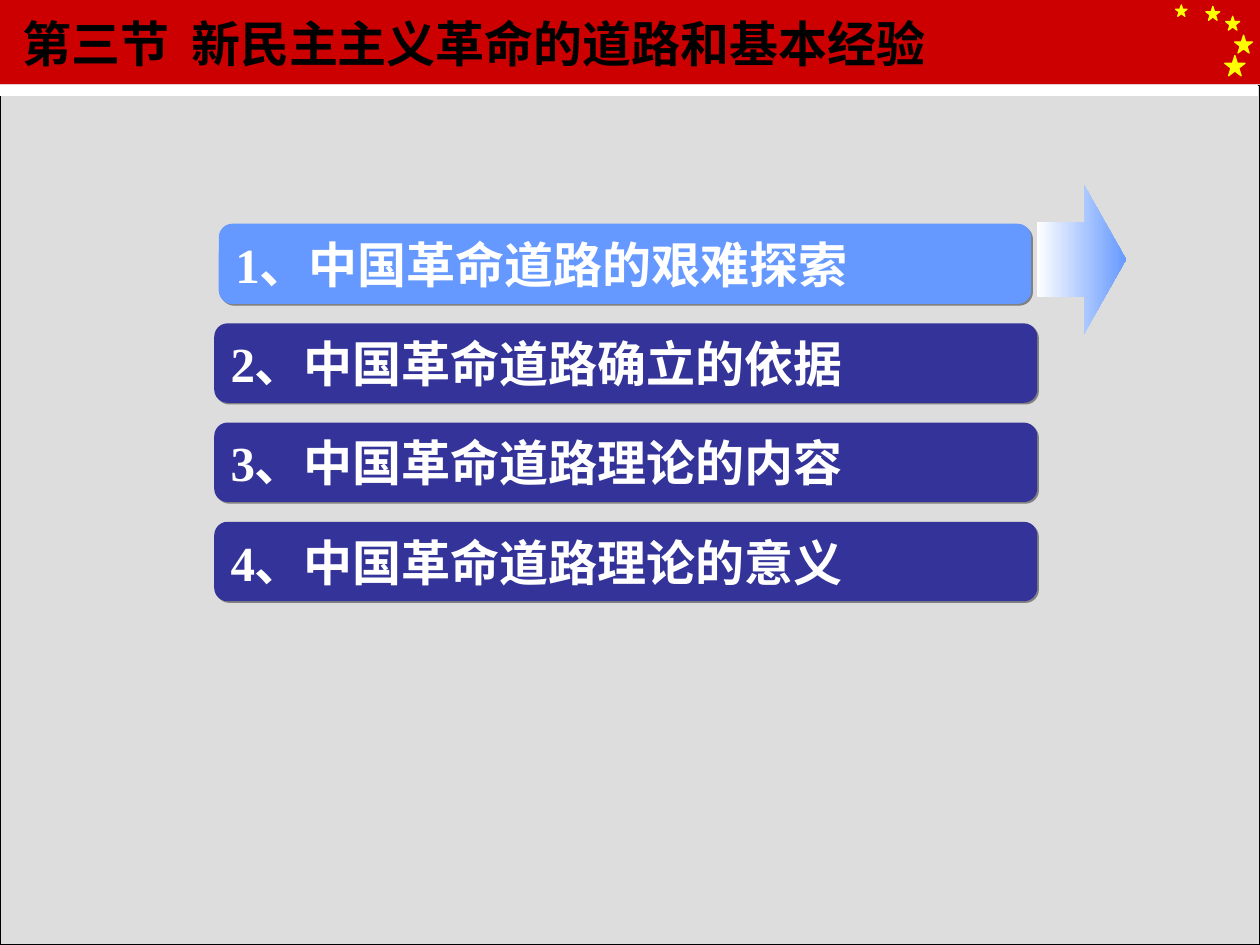
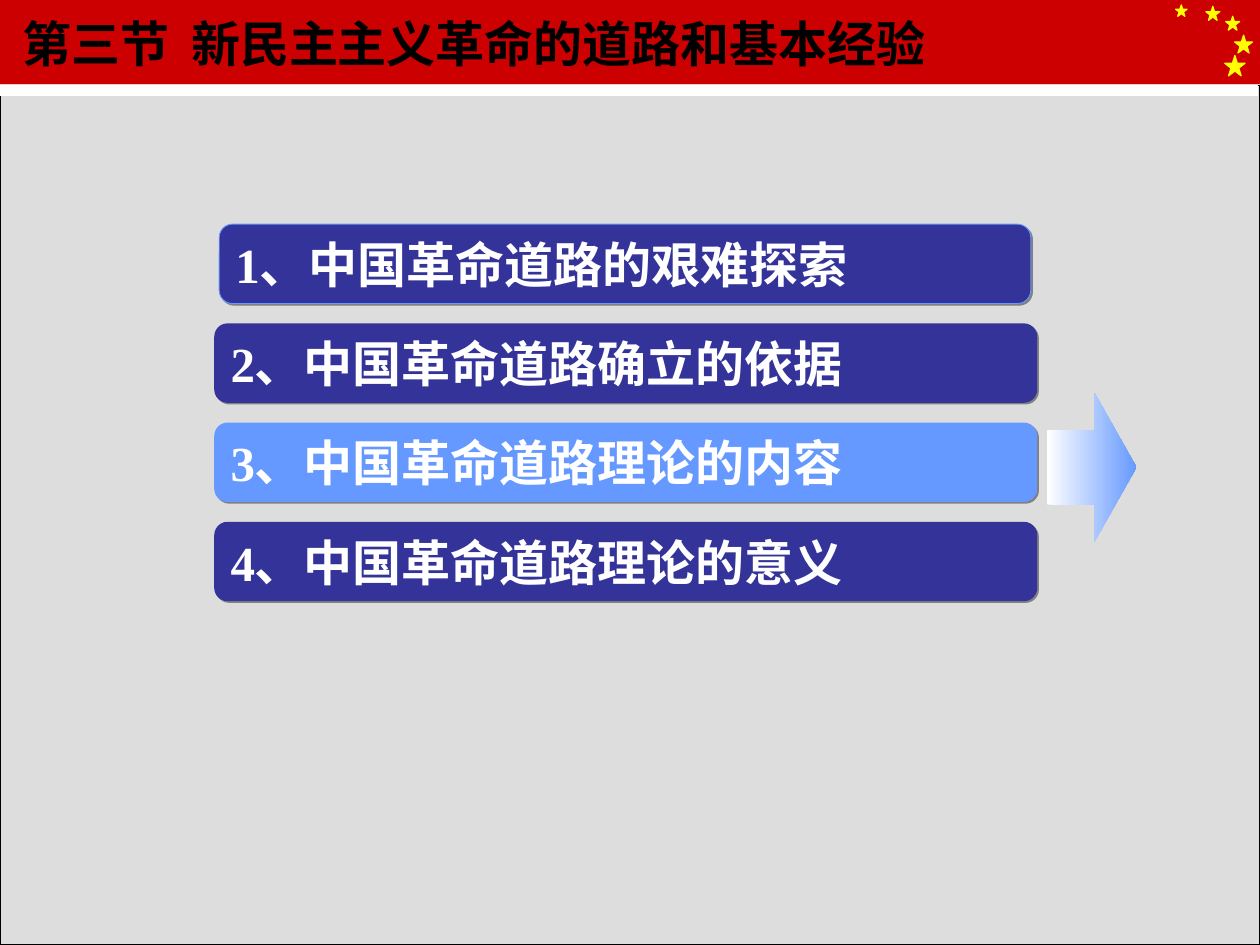
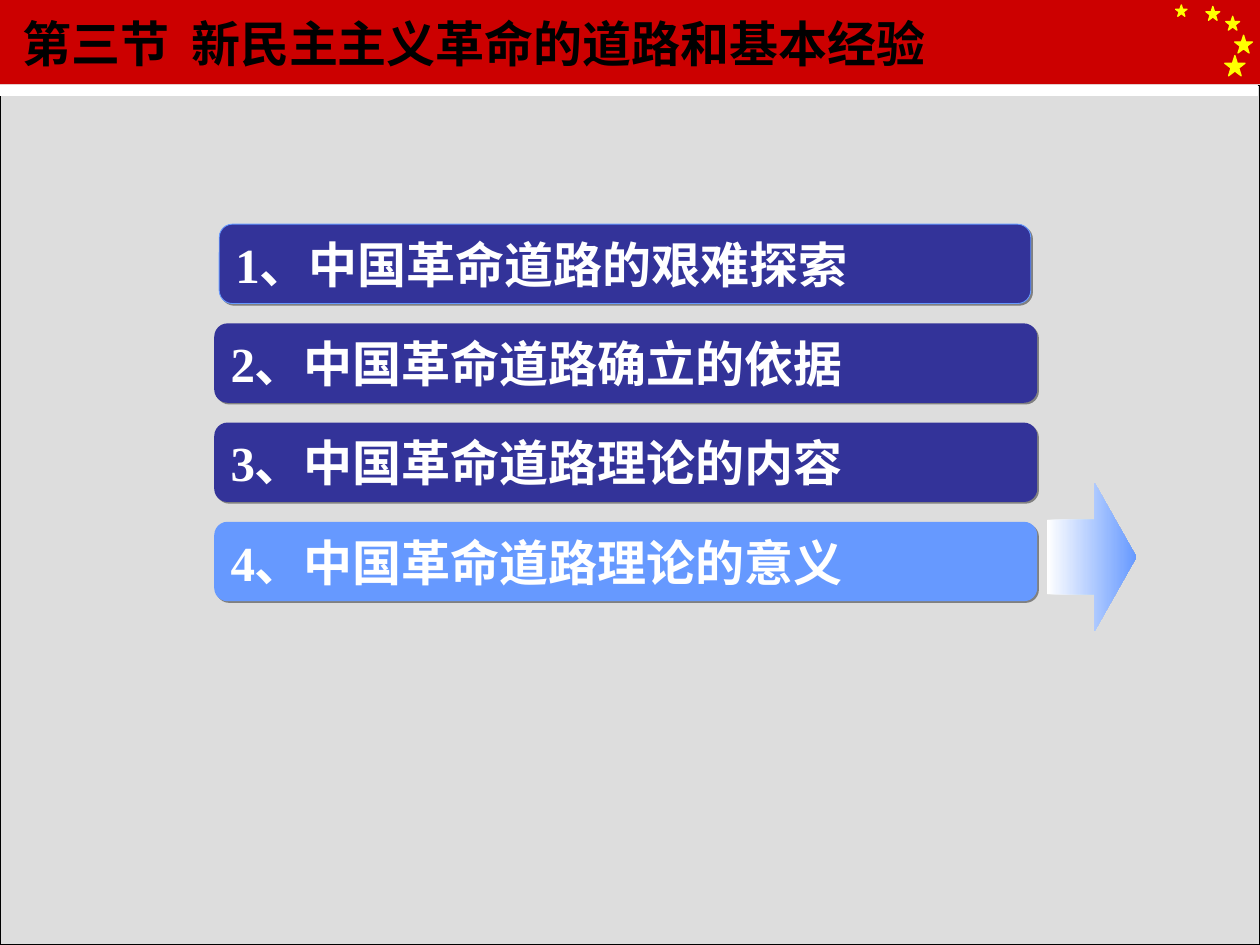
from dataclasses import dataclass

from lxml.etree import SubElement
from pptx import Presentation
from pptx.dml.color import RGBColor
from pptx.enum.shapes import MSO_SHAPE as Preset
from pptx.enum.text import MSO_ANCHOR as Anchor, MSO_AUTO_SIZE as AutoSize, PP_ALIGN as Align
from pptx.oxml.ns import qn
from pptx.util import Cm, Pt


@dataclass(frozen=True)
class Theme:
    background: str = "EAEAEA"
    panel: str = "DDDDDD"
    band: str = "CC0000"
    star: str = "FFFF00"
    topic: str = "333399"
    highlight: str = "6699FF"
    shadow: str = "808080"
    black: str = "000000"
    white: str = "FFFFFF"
    font: str = "Times New Roman"
    text_size: int = 28


THEME = Theme()

TITLE = "第三节\t新民主主义革命的道路和基本经验"
TITLE_TAB = 3.4
TOPICS = [
    "1、中国革命道路的艰难探索",
    "2、中国革命道路确立的依据",
    "3、中国革命道路理论的内容",
    "4、中国革命道路理论的意义",
]
# Highlighted topic, then left and top of its arrow (cm)
AGENDAS = [(0, 20.9, 3.73), (2, 21.11, 7.92), (3, 21.11, 9.73)]

# Lengths in cm
SLIDE_WIDTH, SLIDE_HEIGHT = 25.4, 19.05
BAND_HEIGHT = 1.7
PANEL_TOP = 1.73
STARS = [  # left, top, size
    (24.69, 1.12, 0.41),
    (24.31, 0.13, 0.28),
    (23.7, 0.1, 0.23),
    (24.71, 0.33, 0.28),
    (24.89, 0.71, 0.36),
]
TOPIC_TOP, TOPIC_PITCH, TOPIC_HEIGHT = 4.52, 2, 1.6
FIRST_TOPIC_SPAN = (4.42, 16.36)  # left, width
TOPIC_SPAN = (4.32, 16.59)
ARROW_WIDTH, ARROW_HEIGHT = 1.8, 3


def color(value):
    return RGBColor.from_string(value)


def add_preset(slide, preset, left, top, width, height, fill=None, line=None, line_width=0.75):
    shape = slide.shapes.add_shape(preset, Cm(left), Cm(top), Cm(width), Cm(height))
    shape.shadow.inherit = False
    if fill:
        shape.fill.solid()
        shape.fill.fore_color.rgb = color(fill)
    if line:
        shape.line.color.rgb = color(line)
        shape.line.width = Pt(line_width)
    else:
        shape.line.fill.background()
    return shape


def style_text(text_frame, text_color):
    text_frame.vertical_anchor = Anchor.MIDDLE
    text_frame.auto_size = AutoSize.NONE
    text_frame.word_wrap = True
    paragraph = text_frame.paragraphs[0]
    paragraph.alignment = Align.LEFT
    font = paragraph.font
    font.name, font.size, font.bold = THEME.font, Pt(THEME.text_size), True
    font.color.rgb = color(text_color)


def add_drop_shadow(shape):
    effects = shape.element.spPr.find(qn("a:effectLst"))
    shadow = SubElement(effects, qn("a:outerShdw"), dist=str(Pt(1.4)),
                        dir=str(45 * 60000), algn="ctr", rotWithShape="0")
    SubElement(shadow, qn("a:srgbClr"), val=THEME.shadow)


def decorate_layout(layout, slide):
    """Draw the shared band, stars and panel on the slide, then move them to its layout."""
    layout.background.fill.solid()
    layout.background.fill.fore_color.rgb = color(THEME.background)
    decorations = [
        add_preset(slide, Preset.RECTANGLE, 0, 0, SLIDE_WIDTH, BAND_HEIGHT, THEME.band),
        *(add_preset(slide, Preset.STAR_5_POINT, left, top, size, size, THEME.star, THEME.star)
          for left, top, size in STARS),
        add_preset(slide, Preset.RECTANGLE, 0, PANEL_TOP, SLIDE_WIDTH, SLIDE_HEIGHT - PANEL_TOP,
                   THEME.panel, THEME.black),
        add_preset(slide, Preset.RECTANGLE, 0, PANEL_TOP, 25.35, 0.2, THEME.white, THEME.white),
    ]
    for index, shape in enumerate(decorations, start=2):
        layout.shapes.element.insert(index, shape.element)


def add_title(slide):
    title = slide.shapes.title
    title.left, title.top, title.width, title.height = Cm(0.2), Cm(0), Cm(19.89), Cm(PANEL_TOP)
    title.text_frame.text = TITLE
    properties = title.text_frame.paragraphs[0]._p.get_or_add_pPr()
    tabs = SubElement(properties, qn("a:tabLst"))
    SubElement(tabs, qn("a:tab"), pos=str(Cm(TITLE_TAB)), algn="l")
    style_text(title.text_frame, THEME.black)


def add_topics(slide, highlighted):
    for index, topic in enumerate(TOPICS):
        left, width = TOPIC_SPAN if index else FIRST_TOPIC_SPAN
        bar = add_preset(
            slide, Preset.ROUNDED_RECTANGLE,
            left, TOPIC_TOP + index * TOPIC_PITCH, width, TOPIC_HEIGHT,
            fill=THEME.highlight if index == highlighted else THEME.topic,
            line=None if index else THEME.highlight, line_width=0.5)
        add_drop_shadow(bar)
        bar.text_frame.text = topic
        style_text(bar.text_frame, THEME.white)


def add_arrow(slide, left, top):
    arrow = add_preset(slide, Preset.RIGHT_ARROW, left, top, ARROW_WIDTH, ARROW_HEIGHT)
    arrow.adjustments[1] = 0.47
    arrow.fill.gradient()
    arrow.fill.gradient_angle = 0
    for stop, value in zip(arrow.fill.gradient_stops, (THEME.white, THEME.highlight)):
        stop.color.rgb = color(value)


def main():
    presentation = Presentation()
    presentation.slide_width, presentation.slide_height = Cm(SLIDE_WIDTH), Cm(SLIDE_HEIGHT)
    layout = presentation.slide_layouts.get_by_name("Title Only")
    for number, (highlighted, arrow_left, arrow_top) in enumerate(AGENDAS):
        slide = presentation.slides.add_slide(layout)
        if number == 0:
            decorate_layout(layout, slide)
        add_title(slide)
        add_topics(slide, highlighted)
        add_arrow(slide, arrow_left, arrow_top)
    presentation.save("out.pptx")


if __name__ == "__main__":
    main()
